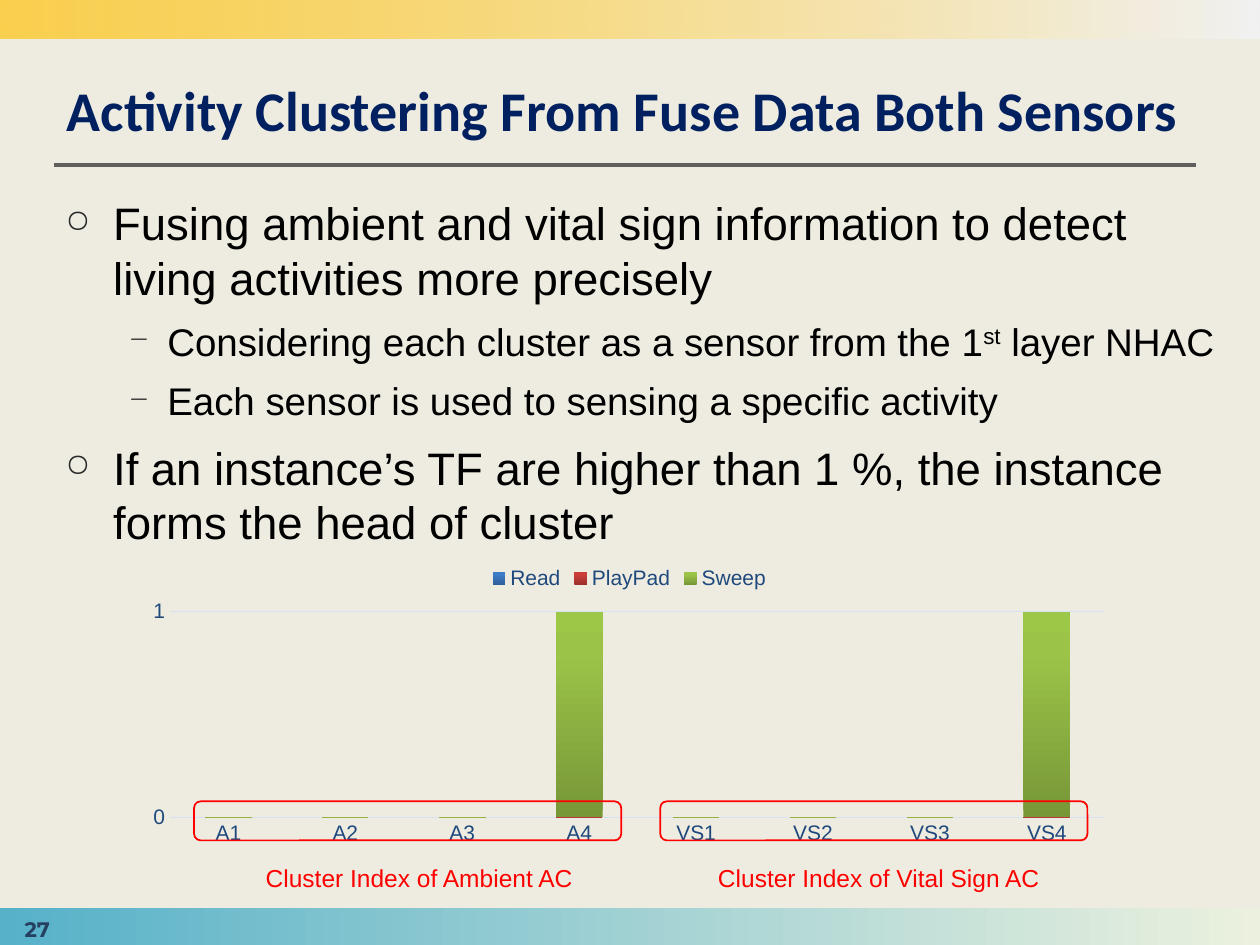
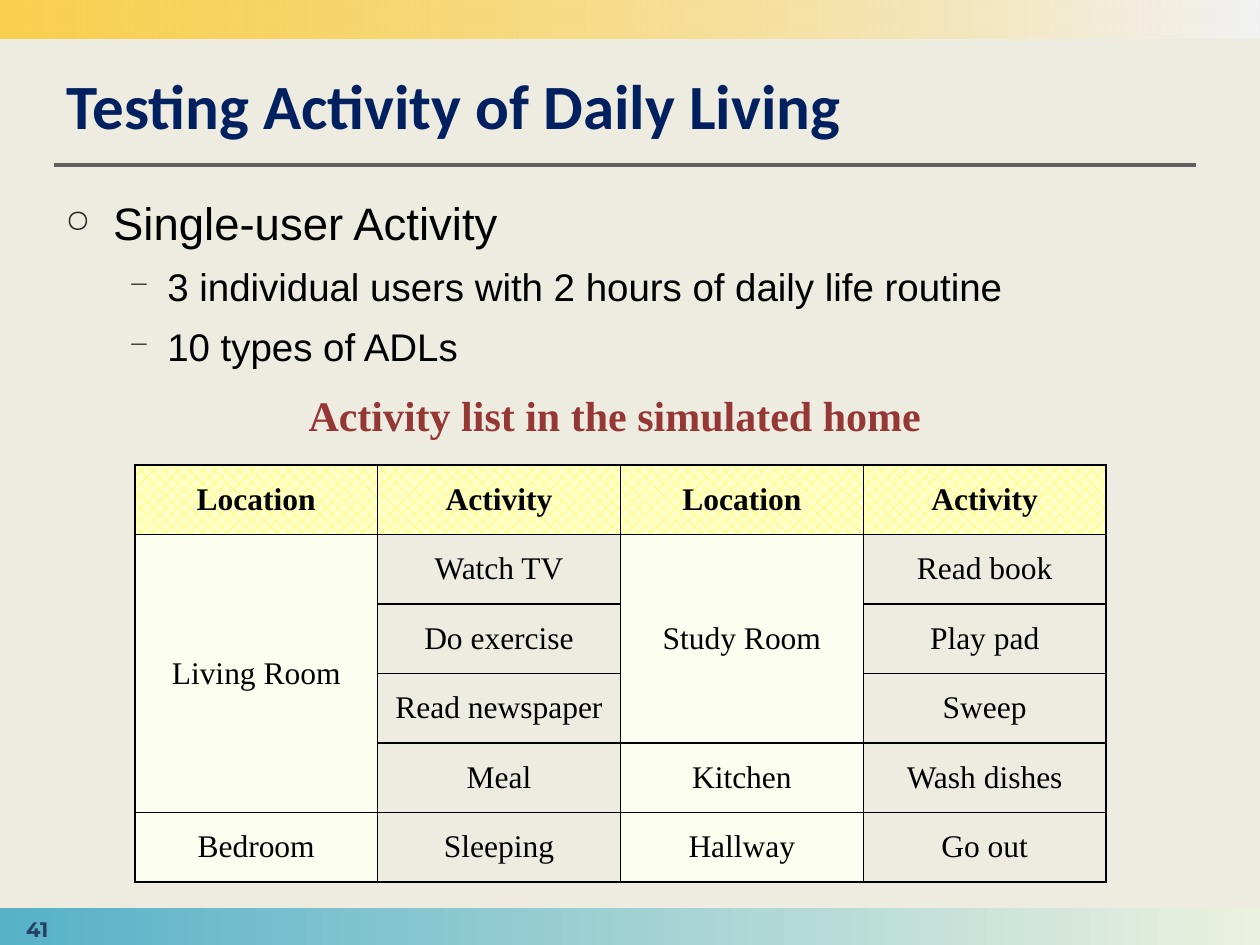
from dataclasses import dataclass
from typing import NamedTuple

from lxml.etree import SubElement
from pptx import Presentation
from pptx.chart.data import CategoryChartData
from pptx.dml.color import RGBColor
from pptx.enum.chart import XL_CHART_TYPE, XL_LEGEND_POSITION, XL_TICK_MARK
from pptx.enum.dml import MSO_PATTERN
from pptx.enum.shapes import MSO_CONNECTOR, MSO_SHAPE
from pptx.enum.text import MSO_ANCHOR, PP_ALIGN
from pptx.oxml.ns import qn
from pptx.slide import Slide
from pptx.util import Inches, Pt


class Style(NamedTuple):
    font: str
    size: int
    color: str
    bold: bool = False


class Stop(NamedTuple):
    position: int
    color: str
    opacity: int = 100


@dataclass(frozen=True)
class Theme:
    background: str = "EEECE1"
    rule: str = "5F5F5F"
    bullet: str = "292929"
    callout: str = "FF0000"
    grid: str = "D4E3F4"
    border: str = "000000"
    location_fill: str = "FCFFEF"
    header_pattern: tuple[str, str] = ("FFFF00", "FFFFCA")
    title: Style = Style("Calibri", 36, "002060", True)
    long_title: Style = Style("Calibri", 32, "002060", True)
    body: tuple[Style, ...] = (Style("Arial", 26, "000000"), Style("Arial", 22, "000000"))
    page_number: Style = Style("Montserrat", 12, "254061", True)
    chart: Style = Style("Arial", 12, "1F497D")
    callout_text: Style = Style("Arial", 14, "FF0000")
    caption: Style = Style("Times New Roman", 24, "953735", True)
    header_cell: Style = Style("Times New Roman", 18, "000000", True)
    cell: Style = Style("Times New Roman", 18, "000000")
    top_band: tuple[Stop, ...] = (Stop(0, "FFC30D", 69), Stop(100, "F2F2F2"))
    bottom_band: tuple[Stop, ...] = (Stop(0, "56B1C9"), Stop(100, "EBF1DE"))


class Bullet(NamedTuple):
    level: int
    text: str
    superscript: str = ""
    rest: str = ""


class BulletFormat(NamedTuple):
    symbol: str
    left: float
    hanging: float


class Band(NamedTuple):
    top: float
    stops: tuple[Stop, ...]


class ClusterGroup(NamedTuple):
    label: str
    frame_left: float
    label_left: float
    label_width: float


class ActivitySeries(NamedTuple):
    name: str
    values: tuple[int, ...]
    colors: tuple[str, str, str]


THEME = Theme()
BULLET_FORMATS = (BulletFormat("○", 0.38, 0.38), BulletFormat("−", 0.81, 0.31))
BANDS = (Band(7.21, THEME.bottom_band), Band(0, THEME.top_band))

FUSION_BULLETS = (
    Bullet(0, "Fusing ambient and vital sign information to detect living activities more precisely"),
    Bullet(1, "Considering each cluster as a sensor from the 1", "st", " layer NHAC"),
    Bullet(1, "Each sensor is used to sensing a specific activity"),
    Bullet(0, "If an instance’s TF are higher than 1 %, the instance forms the head of cluster"),
)
CLUSTERS = [f"{kind}{index}" for kind in ("A", "VS") for index in range(1, 5)]
SERIES = (
    ActivitySeries("Read", (0,) * 8, ("2F5F99", "3D7CC7", "3A7CCB")),
    ActivitySeries("PlayPad", (0,) * 8, ("9C2F2D", "CB3E3A", "CE3B37")),
    ActivitySeries("Sweep", (0, 0, 0, 1) * 2, ("779737", "9BC348", "9DC746")),
)
CLUSTER_GROUPS = (
    ClusterGroup("Cluster Index of Ambient AC", 1.54, 2.01, 2.65),
    ClusterGroup("Cluster Index of Vital Sign AC", 5.24, 5.6, 2.77),
)

TESTING_BULLETS = (
    Bullet(0, "Single-user Activity"),
    Bullet(1, "3 individual users with 2 hours of daily life routine"),
    Bullet(1, "10 types of ADLs"),
)
ACTIVITY_ROWS = (
    ("Location", "Activity", "Location", "Activity"),
    ("Living Room", "Watch TV", "Study Room", "Read book"),
    ("", "Do exercise", "", "Play pad"),
    ("", "Read newspaper", "", "Sweep"),
    ("", "Meal", "Kitchen", "Wash dishes"),
    ("Bedroom", "Sleeping", "Hallway", "Go out"),
)
ROOM_SPANS = (((1, 0), (4, 0)), ((1, 2), (3, 2)))


def rgb(color: str) -> RGBColor:
    return RGBColor.from_string(color)


def box(left: float, top: float, width: float, height: float) -> tuple:
    return tuple(Inches(length) for length in (left, top, width, height))


# Text and fill helpers
def format_font(font, style: Style) -> None:
    font.name, font.size, font.bold = style.font, Pt(style.size), style.bold
    font.color.rgb = rgb(style.color)


def add_run(paragraph, text: str, style: Style):
    run = paragraph.add_run()
    run.text = text
    format_font(run.font, style)
    return run


def add_label(slide: Slide, bounds: tuple, text: str, style: Style,
              align=PP_ALIGN.LEFT, anchor=MSO_ANCHOR.TOP) -> None:
    frame = slide.shapes.add_textbox(*bounds).text_frame
    frame.word_wrap = False
    frame.vertical_anchor = anchor
    frame.paragraphs[0].alignment = align
    add_run(frame.paragraphs[0], text, style)


def fill_gradient(fill, properties, stops: tuple[Stop, ...], angle: int) -> None:
    fill.gradient()
    gradient = properties.find(qn("a:gradFill"))
    stop_list = gradient.find(qn("a:gsLst"))
    for default_stop in list(stop_list):
        stop_list.remove(default_stop)
    for stop in stops:
        element = SubElement(stop_list, qn("a:gs"), pos=str(stop.position * 1000))
        color = SubElement(element, qn("a:srgbClr"), val=stop.color)
        if stop.opacity < 100:
            SubElement(color, qn("a:alpha"), val=str(stop.opacity * 1000))
    gradient.find(qn("a:lin")).set("ang", str(angle * 60000))


# Parts shared by the slides
def add_base_slide(presentation, title: str, style: Style, width: float, number: int) -> Slide:
    slide = presentation.slides.add_slide(presentation.slide_layouts[5])
    for band in BANDS:
        shape = slide.shapes.add_shape(MSO_SHAPE.RECTANGLE, *box(0, band.top, 10, 0.31))
        shape.shadow.inherit = False
        shape.line.fill.background()
        fill_gradient(shape.fill, shape.element.spPr, band.stops, 0)

    rule = slide.shapes.add_connector(
        MSO_CONNECTOR.STRAIGHT, Inches(0.43), Inches(1.31), Inches(9.49), Inches(1.31))
    rule.line.color.rgb = rgb(THEME.rule)
    rule.line.width = Pt(2.25)
    SubElement(rule.element.spPr, qn("a:effectLst"))

    heading = slide.shapes.title
    heading.left, heading.top, heading.width, heading.height = box(0.43, 0.44, width, 0.74)
    heading.text_frame.vertical_anchor = MSO_ANCHOR.BOTTOM
    heading.text_frame.paragraphs[0].alignment = PP_ALIGN.LEFT
    add_run(heading.text_frame.paragraphs[0], title, style)

    add_label(slide, box(0, 7.14, 0.59, 0.47), str(number), THEME.page_number,
              PP_ALIGN.CENTER, MSO_ANCHOR.MIDDLE)
    return slide


def add_bullets(slide: Slide, bullets: tuple[Bullet, ...], width: float) -> None:
    frame = slide.shapes.add_textbox(*box(0.42, 1.5, width, 5.35)).text_frame
    frame.word_wrap = True
    for index, bullet in enumerate(bullets):
        paragraph = frame.add_paragraph() if index else frame.paragraphs[0]
        style, bullet_format = THEME.body[bullet.level], BULLET_FORMATS[bullet.level]
        paragraph.level = bullet.level
        paragraph.space_before = Pt(round(style.size * 0.35, 1))
        properties = paragraph._p.get_or_add_pPr()
        properties.set("marL", str(Inches(bullet_format.left)))
        properties.set("indent", str(-Inches(bullet_format.hanging)))
        color = SubElement(properties, qn("a:buClr"))
        SubElement(color, qn("a:srgbClr"), val=THEME.bullet)
        SubElement(properties, qn("a:buSzPct"), val="70000")
        SubElement(properties, qn("a:buChar"), char=bullet_format.symbol)
        add_run(paragraph, bullet.text, style)
        if bullet.superscript:
            raised = add_run(paragraph, bullet.superscript, style)
            raised.font._element.set("baseline", "30000")
            add_run(paragraph, bullet.rest, style)


# Stacked columns of the cluster indexes
def add_cluster_chart(slide: Slide) -> None:
    data = CategoryChartData()
    data.categories = CLUSTERS
    for series in SERIES:
        data.add_series(series.name, series.values)
    chart = slide.shapes.add_chart(
        XL_CHART_TYPE.COLUMN_STACKED, *box(1.06, 4.39, 7.87, 2.36), data).chart
    format_font(chart.font, THEME.chart)
    chart.has_title = False
    chart.has_legend = True
    chart.legend.position = XL_LEGEND_POSITION.TOP
    chart.legend.include_in_layout = False
    format_font(chart.legend.font, THEME.chart)

    plot = chart.plots[0]
    plot.gap_width, plot.overlap, plot.vary_by_categories = 150, 100, False
    for drawn, series in zip(plot.series, SERIES):
        stops = tuple(Stop(*pair) for pair in zip((0, 80, 100), series.colors))
        fill_gradient(drawn.format.fill, drawn._element.spPr, stops, 270)

    for axis in (chart.category_axis, chart.value_axis):
        axis.major_tick_mark = axis.minor_tick_mark = XL_TICK_MARK.NONE
        format_font(axis.tick_labels.font, THEME.chart)
    values = chart.value_axis
    values.minimum_scale, values.maximum_scale, values.major_unit = 0, 1, 1
    values.format.line.fill.background()
    for line in (chart.category_axis.format.line, values.major_gridlines.format.line):
        line.color.rgb = rgb(THEME.grid)
        line.width = Pt(0.75)


def add_cluster_group(slide: Slide, group: ClusterGroup) -> None:
    frame = slide.shapes.add_shape(
        MSO_SHAPE.ROUNDED_RECTANGLE, *box(group.frame_left, 6.36, 3.39, 0.31))
    frame.shadow.inherit = False
    frame.fill.background()
    frame.line.color.rgb = rgb(THEME.callout)
    frame.line.width = Pt(1)
    add_label(slide, box(group.label_left, 6.8, group.label_width, 0.34),
              group.label, THEME.callout_text)


# Table of activities by room
def add_borders(cell, first: bool, last: bool) -> None:
    properties = cell._tc.get_or_add_tcPr()
    widths = {"lnL": 1.5 if first else 1, "lnR": 1.5 if last else 1, "lnT": 1, "lnB": 1}
    for index, (side, width) in enumerate(widths.items()):
        line = SubElement(properties, qn(f"a:{side}"), w=str(Pt(width)))
        fill = SubElement(line, qn("a:solidFill"))
        SubElement(fill, qn("a:srgbClr"), val=THEME.border)
        properties.insert(index, line)


def add_activity_table(slide: Slide) -> None:
    row_count, column_count = len(ACTIVITY_ROWS), len(ACTIVITY_ROWS[0])
    table = slide.shapes.add_table(
        row_count, column_count, *box(1.07, 3.69, 7.71, 3.31)).table
    table.horz_banding = False
    for start, end in ROOM_SPANS:
        table.cell(*start).merge(table.cell(*end))
    for row, texts in enumerate(ACTIVITY_ROWS):
        for column, text in enumerate(texts):
            cell = table.cell(row, column)
            cell.vertical_anchor = MSO_ANCHOR.MIDDLE
            cell.margin_left = cell.margin_right = Inches(0.07)
            cell.margin_top = cell.margin_bottom = 0
            if row == 0:
                cell.fill.patterned()
                cell.fill.pattern = MSO_PATTERN.PERCENT_30
                cell.fill.fore_color.rgb, cell.fill.back_color.rgb = map(rgb, THEME.header_pattern)
            elif column % 2 == 0:
                cell.fill.solid()
                cell.fill.fore_color.rgb = rgb(THEME.location_fill)
            else:
                cell.fill.background()
            add_borders(cell, column == 0, column == column_count - 1)
            if text:
                paragraph = cell.text_frame.paragraphs[0]
                paragraph.alignment = PP_ALIGN.CENTER
                add_run(paragraph, text, THEME.cell if row else THEME.header_cell)


def main() -> None:
    presentation = Presentation()
    presentation.slide_width, presentation.slide_height = Inches(10), Inches(7.5)
    background = presentation.slide_master.background.fill
    background.solid()
    background.fore_color.rgb = rgb(THEME.background)

    fusion = add_base_slide(presentation, "Activity Clustering From Fuse Data Both Sensors",
                            THEME.long_title, 9.45, 27)
    add_bullets(fusion, FUSION_BULLETS, 9.47)
    add_cluster_chart(fusion)
    for group in CLUSTER_GROUPS:
        add_cluster_group(fusion, group)

    testing = add_base_slide(presentation, "Testing Activity of Daily Living",
                             THEME.title, 8.98, 41)
    add_bullets(testing, TESTING_BULLETS, 8.98)
    add_activity_table(testing)
    add_label(testing, box(2.35, 3.04, 5.11, 0.5), "Activity list in the simulated home",
              THEME.caption, anchor=MSO_ANCHOR.MIDDLE)

    presentation.save("out.pptx")


if __name__ == "__main__":
    main()
